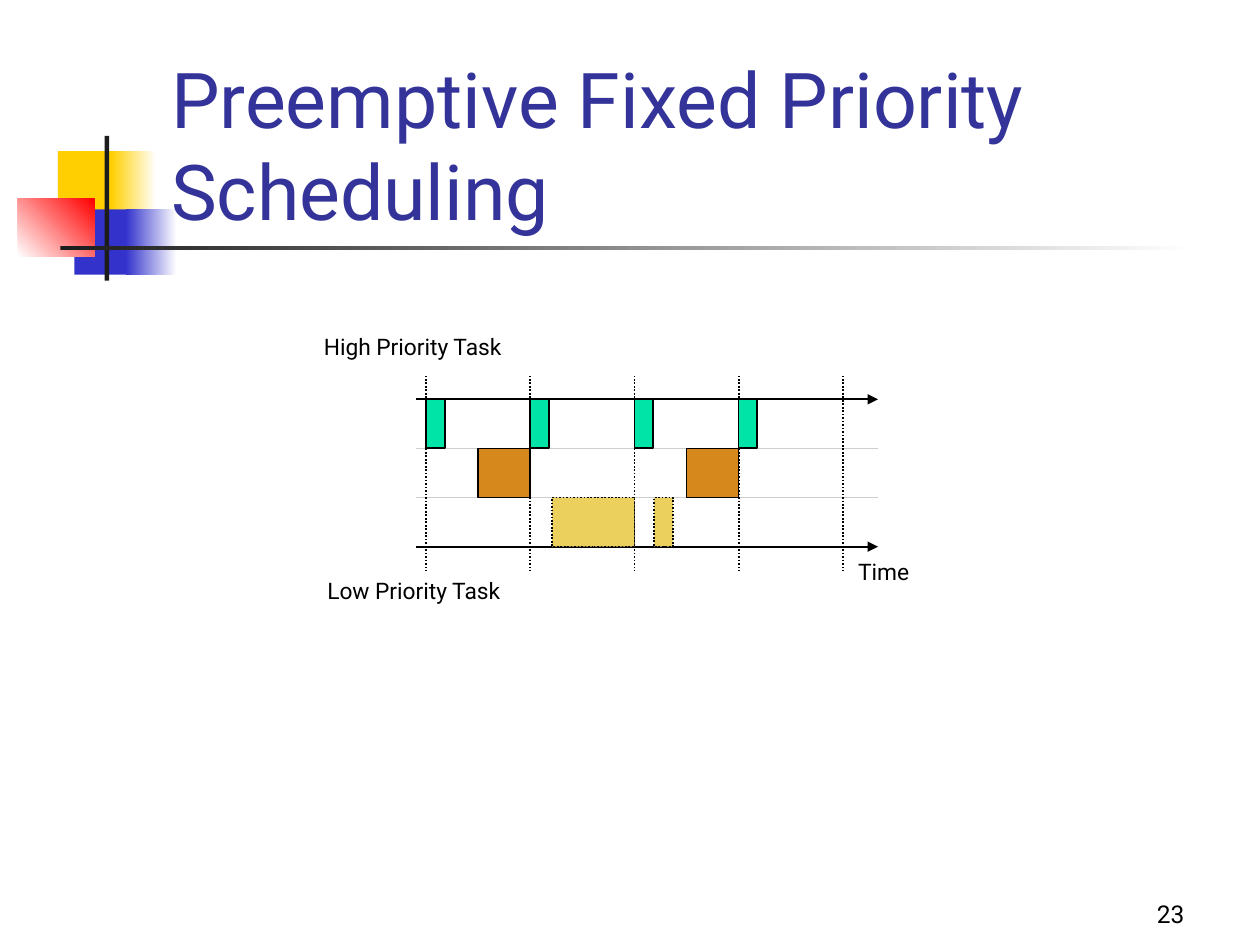
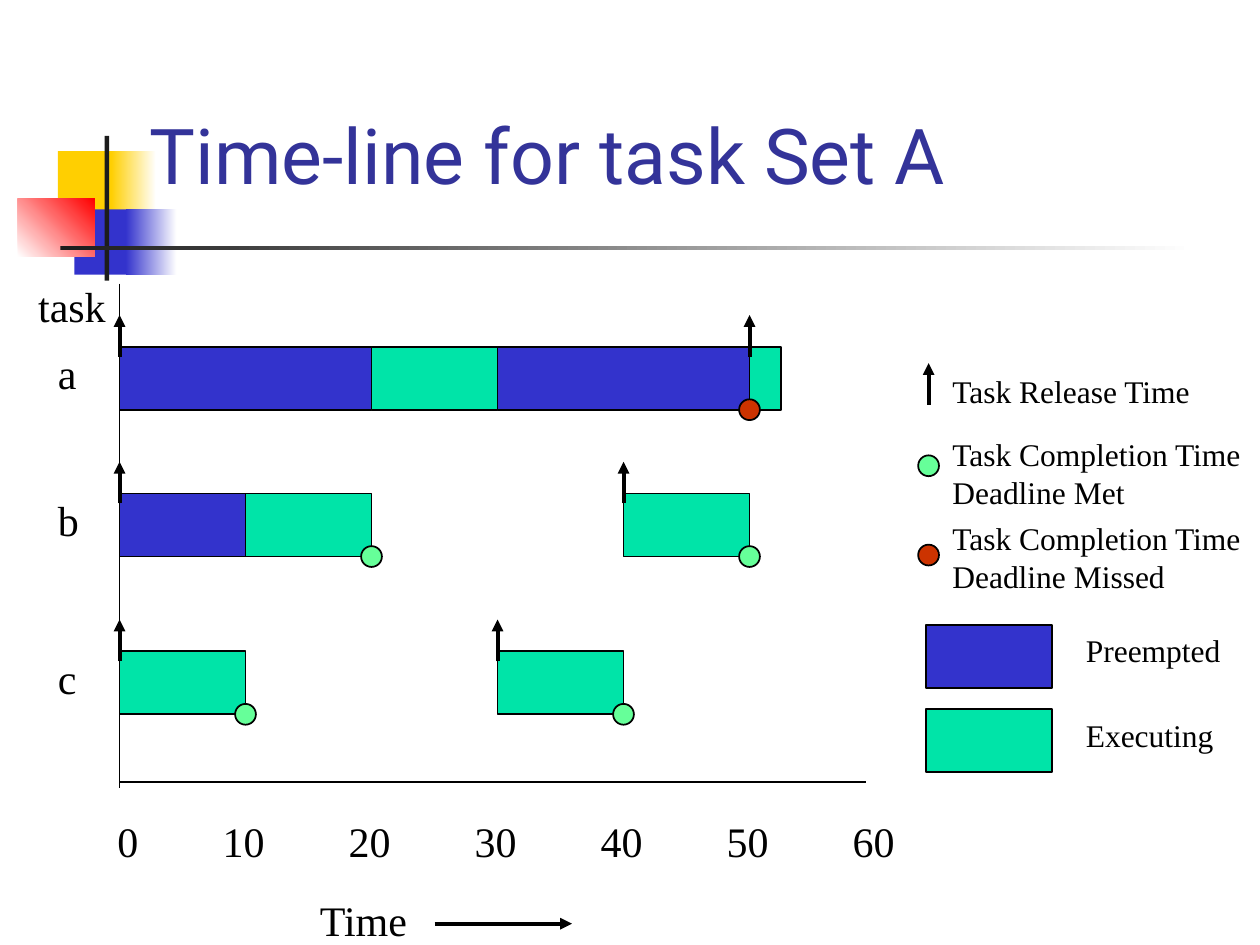
from dataclasses import dataclass
from typing import Optional

import lxml.etree
import pptx
import pptx.dml.color
import pptx.enum.dml
import pptx.enum.shapes
import pptx.enum.text
import pptx.oxml.ns
import pptx.slide
import pptx.util

Cm = pptx.util.Cm
Pt = pptx.util.Pt
Slide = pptx.slide.Slide
SHAPE = pptx.enum.shapes.MSO_SHAPE
ANCHOR = pptx.enum.text.MSO_ANCHOR
ALIGN = pptx.enum.text.PP_ALIGN

COLORS = {
    "white": "FFFFFF", "black": "000000", "title": "333399",
    "yellow": "FFCF01", "blue": "3333CC", "red": "FF0000", "rule": "1C1C1C",
    "green": "00E4A8", "orange": "D6881C", "sand": "EBD05D", "lane": "CECECE",
    "met": "66FF99", "missed": "CC3300",
}
SANS, SERIF = "Roboto", "Times New Roman"


@dataclass(frozen=True)
class Box:
    """A filled shape, lengths in cm; `fade` is the end colour of a gradient."""
    left: float
    top: float
    width: float
    height: float
    color: str
    fade: Optional[str] = None
    angle: float = 0
    outlined: bool = True
    dotted: bool = False
    shape: SHAPE = SHAPE.RECTANGLE


@dataclass(frozen=True)
class Line:
    x1: float
    y1: float
    x2: float
    y2: float
    color: str = "black"
    weight: float = 1
    dotted: bool = False
    arrow: bool = False


@dataclass(frozen=True)
class Label:
    text: str
    left: float
    top: float
    width: float
    height: float
    size: float
    font: str = SANS
    color: str = "black"
    anchor: ANCHOR = ANCHOR.TOP
    align: ALIGN = ALIGN.LEFT
    padded: bool = True
    wrap: bool = True


@dataclass(frozen=True)
class Burst:
    """A stretch of time in which a task is in one state."""
    start: float
    length: float
    color: str


@dataclass(frozen=True)
class TaskRow:
    name: str
    top: float
    bursts: tuple[Burst, ...]
    releases: tuple[float, ...]
    completions: tuple[tuple[float, str], ...]


DECORATION = (
    Box(1.17, 3.05, 1.22, 1.32, "yellow", outlined=False),
    Box(2.24, 3.05, 0.91, 1.32, "yellow", "white", outlined=False),
    Box(1.5, 4.22, 1.17, 1.32, "blue", outlined=False),
    Box(2.54, 4.22, 1.02, 1.32, "blue", "white", outlined=False),
    Box(0.36, 4.01, 1.55, 1.17, "white", "red", 45, outlined=False),
    Box(2.11, 2.74, 0.09, 2.92, "rule", outlined=False),
    Box(1.22, 4.95, 22.86, 0.09, "rule", "white", outlined=False),
)


def rgb(name: str) -> pptx.dml.color.RGBColor:
    return pptx.dml.color.RGBColor.from_string(COLORS[name])


def draw_box(slide: Slide, box: Box) -> None:
    shape = slide.shapes.add_shape(
        box.shape, Cm(box.left), Cm(box.top), Cm(box.width), Cm(box.height))
    shape.shadow.inherit = False
    if box.fade:
        shape.fill.gradient()
        shape.fill.gradient_angle = box.angle
        for stop, color in zip(shape.fill.gradient_stops, (box.color, box.fade)):
            stop.color.rgb = rgb(color)
    else:
        shape.fill.solid()
        shape.fill.fore_color.rgb = rgb(box.color)
    if box.outlined:
        style_line(shape.line, "black", 1, box.dotted)
    else:
        shape.line.fill.background()


def style_line(line, color: str, weight: float, dotted: bool) -> None:
    line.color.rgb = rgb(color)
    line.width = Pt(weight)
    if dotted:
        line.dash_style = pptx.enum.dml.MSO_LINE.ROUND_DOT


def draw_line(slide: Slide, line: Line) -> None:
    connector = slide.shapes.add_connector(
        pptx.enum.shapes.MSO_CONNECTOR.STRAIGHT,
        Cm(line.x1), Cm(line.y1), Cm(line.x2), Cm(line.y2))
    style_line(connector.line, line.color, line.weight, line.dotted)
    qn = pptx.oxml.ns.qn
    properties = connector._element.spPr
    if line.arrow:
        lxml.etree.SubElement(
            properties.find(qn("a:ln")), qn("a:tailEnd"), type="triangle")
    lxml.etree.SubElement(properties, qn("a:effectLst"))


def draw_label(slide: Slide, label: Label) -> None:
    frame = slide.shapes.add_textbox(
        Cm(label.left), Cm(label.top), Cm(label.width), Cm(label.height)).text_frame
    frame.word_wrap = label.wrap
    frame.vertical_anchor = label.anchor
    if not label.padded:
        frame.margin_left = frame.margin_right = 0
        frame.margin_top = frame.margin_bottom = 0
    frame.text = label.text
    for paragraph in frame.paragraphs:
        paragraph.alignment = label.align
        paragraph.font.size = Pt(label.size)
        paragraph.font.name = label.font
        paragraph.font.color.rgb = rgb(label.color)


def add_titled_slide(deck, title: str, left: float, top: float) -> Slide:
    slide = deck.slides.add_slide(deck.slide_layouts[6])
    for box in DECORATION:
        draw_box(slide, box)
    draw_label(slide, Label(title, left, top, 21.64, 3.18, 44,
                            color="title", anchor=ANCHOR.BOTTOM))
    return slide


def build_preemptive_scheduling(deck) -> None:
    slide = add_titled_slide(deck, "Preemptive Fixed Priority Scheduling", 3.2, 1.7)
    first_release, period = 8.59, 2.1
    lanes_top, lane_height = 8.05, 0.99
    lane_bursts = (
        tuple(Burst(start, 0.18, "green") for start in range(4)),
        (Burst(0.5, 0.5, "orange"), Burst(2.5, 0.5, "orange")),
        (Burst(1.21, 0.79, "sand"), Burst(2.19, 0.18, "sand")),
    )

    for edge in (1, 2, 0, 3):
        y = lanes_top + edge * lane_height
        outer = edge in (0, 3)
        draw_line(slide, Line(8.38, y, 17.7, y, "black" if outer else "lane", arrow=outer))
    for release in range(5):
        x = first_release + release * period
        draw_line(slide, Line(x, 7.57, x, 11.51, dotted=True))
    for lane, bursts in enumerate(lane_bursts):
        for burst in bursts:
            draw_box(slide, Box(
                first_release + burst.start * period, lanes_top + lane * lane_height,
                burst.length * period, lane_height, burst.color,
                dotted=burst.color == "sand"))

    for text, left, top, width in (("High Priority Task", 6.53, 6.71, 4.6),
                                   ("Low Priority Task", 6.6, 11.63, 4.6),
                                   ("Time", 17.3, 11.25, 1.83)):
        draw_label(slide, Label(text, left, top, width, 0.53, 13,
                                anchor=ANCHOR.MIDDLE, padded=False))
    draw_label(slide, Label("23", 18.85, 17.58, 5.28, 1.27, 14,
                            anchor=ANCHOR.BOTTOM, align=ALIGN.RIGHT))


TASK_SET_A = (
    TaskRow("a", 6.99,
            (Burst(0, 20, "blue"), Burst(20, 10, "green"),
             Burst(30, 20, "blue"), Burst(50, 2.5, "green")),
            (0, 50), ((50, "missed"),)),
    TaskRow("b", 9.95,
            (Burst(0, 10, "blue"), Burst(10, 10, "green"), Burst(40, 10, "green")),
            (0, 40), ((20, "met"), (50, "met"))),
    TaskRow("c", 13.13,
            (Burst(0, 10, "green"), Burst(30, 10, "green")),
            (0, 30), ((10, "met"), (40, "met"))),
)
ORIGIN, CM_PER_UNIT, BAR_HEIGHT = 2.41, 0.254, 1.27


def time_x(time: float) -> float:
    return ORIGIN + time * CM_PER_UNIT


def draw_serif(slide: Slide, text: str, left: float, top: float, width: float,
               size: float = 24, align: ALIGN = ALIGN.LEFT) -> None:
    height = size * 0.053 * (1 + text.count("\n"))
    draw_label(slide, Label(text, left, top, width, height, size, SERIF,
                            align=align, wrap=False))


def draw_release(slide: Slide, x: float, tip: float) -> None:
    draw_line(slide, Line(x, tip + 0.84, x, tip, weight=2.25, arrow=True))


def draw_completion(slide: Slide, x: float, y: float, color: str) -> None:
    """A dot centred on the given point."""
    size = 0.42
    draw_box(slide, Box(x - size / 2, y - size / 2, size, size, color, shape=SHAPE.OVAL))


def draw_task(slide: Slide, task: TaskRow) -> None:
    draw_serif(slide, task.name, 0.92, task.top - 0.1, 0.9)
    for burst in task.bursts:
        draw_box(slide, Box(time_x(burst.start), task.top,
                            burst.length * CM_PER_UNIT, BAR_HEIGHT, burst.color))
    for release in task.releases:
        draw_release(slide, time_x(release), task.top - 0.64)
    for time, color in task.completions:
        draw_completion(slide, time_x(time), task.top + BAR_HEIGHT, color)


def draw_legend(slide: Slide) -> None:
    marker_x = 18.72
    draw_release(slide, marker_x, 7.32)
    draw_completion(slide, marker_x, 9.39, "met")
    draw_completion(slide, marker_x, 11.19, "missed")
    for text, top, width in (("Task Release Time", 7.37, 5.36),
                             ("Task Completion Time\nDeadline Met", 8.64, 6.4),
                             ("Task Completion Time\nDeadline Missed", 10.34, 6.4)):
        draw_serif(slide, text, 18.95, top, width, 18)
    for state, top, color in (("Preempted", 12.6, "blue"), ("Executing", 14.3, "green")):
        draw_box(slide, Box(18.67, top, 2.54, BAR_HEIGHT, color))
        draw_serif(slide, state, 21.64, top, 3.23, 18)


def build_task_set_timeline(deck) -> None:
    slide = add_titled_slide(deck, "Time-line for task Set A", 2.77, 0.97)
    draw_serif(slide, "task", 0.52, 5.54, 1.9)
    draw_line(slide, Line(ORIGIN, 5.72, ORIGIN, 15.88))
    draw_line(slide, Line(ORIGIN, 15.77, 17.45, 15.77))
    for task in TASK_SET_A:
        draw_task(slide, task)
    tick_width = 1.35
    for time in range(0, 61, 10):
        nudge = -0.04 if time else 0.17
        draw_serif(slide, str(time), time_x(time) + nudge - tick_width / 2,
                   16.31, tick_width, align=ALIGN.CENTER)
    draw_serif(slide, "Time", 6.2, 17.91, 2.29)
    draw_line(slide, Line(8.76, 18.62, 11.53, 18.62, weight=2.25, arrow=True))
    draw_legend(slide)


def main() -> None:
    deck = pptx.Presentation()
    deck.slide_width, deck.slide_height = Cm(25.4), Cm(19.05)
    build_preemptive_scheduling(deck)
    build_task_set_timeline(deck)
    deck.save("out.pptx")


if __name__ == "__main__":
    main()
